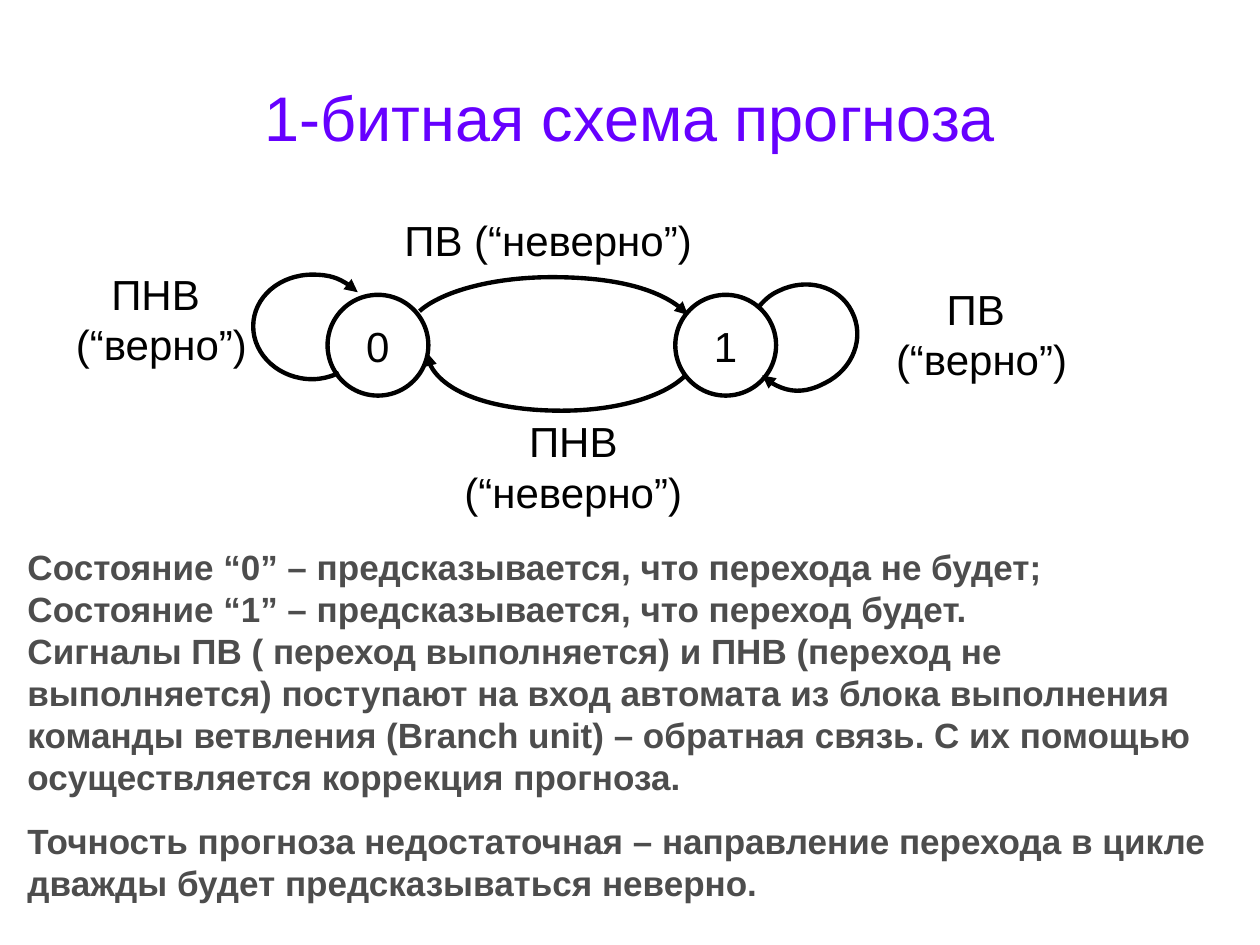
from pptx import Presentation
from pptx.dml.color import RGBColor
from pptx.enum.shapes import MSO_SHAPE
from pptx.enum.text import MSO_ANCHOR, PP_ALIGN
from pptx.oxml.ns import qn
from pptx.util import Inches, Pt
from lxml.etree import SubElement


def color(code):
    return RGBColor.from_string(code)


def write(shape, texts, size, code="000000", bold=False, align=PP_ALIGN.CENTER):
    frame = shape.text_frame
    frame.word_wrap = True
    for i, text in enumerate(texts):
        para = frame.add_paragraph() if i else frame.paragraphs[0]
        para.text = text
        para.alignment = align
        for run in para.runs:
            run.font.name = "Arial"
            run.font.size = Pt(size)
            run.font.bold = bold
            run.font.color.rgb = color(code)
    return frame


prs = Presentation()
prs.slide_width, prs.slide_height = Inches(10), Inches(7.5)
slide = prs.slides.add_slide(prs.slide_layouts[6])
shapes = slide.shapes

# Title
title = shapes.add_textbox(Inches(0.5), Inches(0.3), Inches(9), Inches(1.25))
frame = write(title, ["1-битная схема прогноза"], 36, "6600FF")
frame.vertical_anchor = MSO_ANCHOR.MIDDLE

# States
for name, left in (("0", 2.6), ("1", 5.36)):
    state = shapes.add_shape(MSO_SHAPE.OVAL, Inches(left), Inches(2.34),
                             Inches(0.8), Inches(0.8))
    state.shadow.inherit = False
    state.fill.solid()
    state.fill.fore_color.rgb = color("FFFFFF")
    state.line.color.rgb = color("000000")
    state.line.width = Pt(2.5)
    frame = write(state, [name], 24)
    frame.word_wrap = False
    frame.vertical_anchor = MSO_ANCHOR.MIDDLE

# Transitions: a start point, then three points for each Bezier curve
curves = [
    # 0 to 1
    [(3.33, 2.47), (3.51, 2.31), (3.92, 2.2), (4.38, 2.2),
     (4.88, 2.2), (5.31, 2.32), (5.46, 2.5)],
    # 1 to 0
    [(5.44, 2.98), (5.27, 3.15), (4.89, 3.26), (4.46, 3.26),
     (3.87, 3.26), (3.39, 3.05), (3.39, 2.8)],
    # 0 to itself
    [(2.69, 2.96), (2.63, 2.99), (2.55, 3.01), (2.48, 3.01),
     (2.22, 3.01), (2.01, 2.82), (2.01, 2.59),
     (2.01, 2.36), (2.22, 2.18), (2.48, 2.18),
     (2.62, 2.18), (2.75, 2.23), (2.84, 2.32)],
    # 1 to itself
    [(6.01, 2.45), (6.06, 2.39), (6.11, 2.34), (6.18, 2.31),
     (6.4, 2.2), (6.66, 2.27), (6.76, 2.47),
     (6.87, 2.68), (6.77, 2.93), (6.55, 3.04),
     (6.38, 3.13), (6.18, 3.11), (6.05, 2.98)],
]
for curve in curves:
    points = [(Inches(x), Inches(y)) for x, y in curve]
    builder = shapes.build_freeform(*points[0])
    builder.add_line_segments(points[1:], close=False)
    arc = builder.convert_to_shape()
    arc.shadow.inherit = False
    arc.fill.background()
    arc.line.color.rgb = color("000000")
    arc.line.width = Pt(2.5)
    SubElement(arc.line._get_or_add_ln(), qn("a:tailEnd"), type="triangle")
    # Turn each three line segments into one cubic curve
    track = next(arc._element.iter(qn("a:path")))
    lines = track.findall(qn("a:lnTo"))
    for i in range(0, len(lines), 3):
        cubic = SubElement(track, qn("a:cubicBezTo"))
        for line in lines[i:i + 3]:
            cubic.append(line[0])
            track.remove(line)

# Transition labels
labels = [
    ("ПВ (“неверно”)", 3.06, 1.65, 2.58, 0.5),
    ("ПНВ (“неверно”)", 3.26, 3.25, 2.58, 0.9),
    ("ПВ \n(“верно”)", 6.5, 2.2, 2.58, 0.9),
    ("ПНВ\n (“верно”)", 0.36, 2.08, 1.75, 0.9),
]
for text, *place in labels:
    label = shapes.add_textbox(*map(Inches, place))
    write(label, [text], 24)

# Explanation
notes = [
    "Состояние “0” – предсказывается, что перехода не будет;",
    "Состояние “1” – предсказывается, что переход будет.\n"
    "Сигналы ПВ ( переход выполняется) и ПНВ (переход не выполняется) "
    "поступают на вход автомата из блока выполнения команды ветвления "
    "(Branch unit) – обратная связь. С их помощью осуществляется "
    "коррекция прогноза.",
    "Точность прогноза недостаточная – направление перехода в цикле "
    "дважды будет предсказываться неверно.",
]
body = shapes.add_textbox(Inches(0.12), Inches(4.28), Inches(9.73), Inches(2.94))
frame = write(body, notes, 20, "4D4D4D", True, PP_ALIGN.LEFT)
frame.paragraphs[-1].space_before = Pt(12.5)

prs.save("out.pptx")
